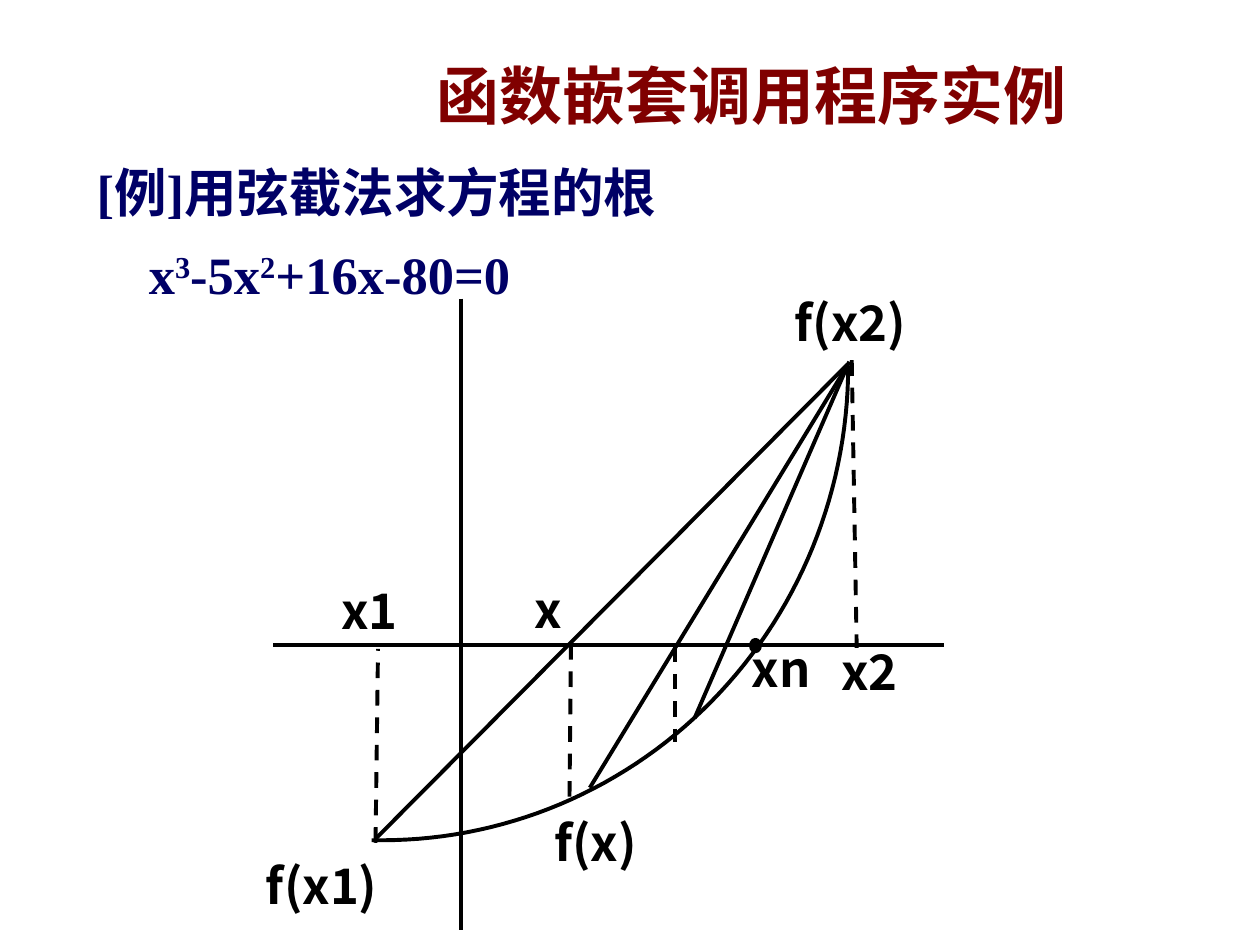
from math import cos, pi, sin

from lxml import etree
from pptx import Presentation
from pptx.dml.color import RGBColor
from pptx.enum.dml import MSO_LINE
from pptx.enum.shapes import MSO_CONNECTOR, MSO_SHAPE
from pptx.enum.text import MSO_ANCHOR, PP_ALIGN
from pptx.oxml.ns import qn
from pptx.util import Cm, Pt

STRAIGHT = MSO_CONNECTOR.STRAIGHT
OVAL = MSO_SHAPE.OVAL
DASH = MSO_LINE.DASH
MIDDLE = MSO_ANCHOR.MIDDLE
CENTER = PP_ALIGN.CENTER
JUSTIFY = PP_ALIGN.JUSTIFY

BLACK = RGBColor(0, 0, 0)
MAROON = RGBColor(0x80, 0, 0)
NAVY = RGBColor(0, 0, 0x66)
SERIF = "Times New Roman"
SANS = "Noto Sans CJK SC"

AXES = [(5.51, 13, 19.02, 13), (9.3, 6.02, 9.3, 18.75)]
CHORDS = [
    (7.59, 16.89, 17.09, 7.34),
    (17.02, 7.47, 11.89, 15.88),
    (17.12, 7.29, 14, 14.48),
]
DROPS = [
    (17.17, 7.26, 17.27, 13.06),
    (7.57, 16.99, 7.62, 13.08),
    (11.51, 12.98, 11.48, 16.08),
    (13.61, 13.03, 13.61, 14.96),
]
LABELS = [
    ("x2", 16.71, 12.8, 2.57, 1.4),
    ("f(x2)", 15.77, 5.77, 3.1, 1.73),
    ("x1", 6.63, 11.58, 2.57, 1.7),
    ("x", 10.52, 11.56, 1.32, 2.01),
    ("f(x)", 10.92, 16.26, 3.58, 1.9),
    ("f(x1)", 5.11, 17.12, 4.65, 2.01),
    ("xn", 14.91, 12.75, 2.95, 1.83),
]
TERMS = [("x", False), ("3", True), ("-5x", False), ("2", True), ("+16x-80=0", False)]


def style(para, size, face, color, align):
    para.alignment = align
    font = para.font
    font.size = Pt(size)
    font.name = face
    font.bold = True
    font.color.rgb = color


def stroke(line):
    line.color.rgb = BLACK
    line.width = Pt(2.25)


def add_title(slide, text):
    title = slide.shapes.title
    title.left, title.top = Cm(4.88), Cm(0.71)
    title.width, title.height = Cm(20.52), Cm(2.39)
    frame = title.text_frame
    frame.vertical_anchor = MIDDLE
    frame.text = text
    style(frame.paragraphs[0], 36, SERIF, MAROON, CENTER)


def add_box(slide, text, *place):
    box = slide.shapes.add_textbox(*map(Cm, place))
    frame = box.text_frame
    frame.word_wrap = True
    frame.text = text
    return frame


def add_body(slide):
    frame = add_box(slide, "[例]用弦截法求方程的根", 1.7, 2.97, 22.4, 14)
    para = frame.add_paragraph()
    para.space_before = Pt(7.5)
    para._p.get_or_add_pPr().set("marL", str(Cm(1.05)))
    for text, raised in TERMS:
        run = para.add_run()
        run.text = text
        if raised:
            run._r.get_or_add_rPr().set("baseline", "30000")
    for para in frame.paragraphs:
        para.line_spacing = 1.1
        style(para, 30, SERIF, NAVY, JUSTIFY)


def add_label(slide, text, *place):
    frame = add_box(slide, text, *place)
    style(frame.paragraphs[0], 28, SANS, BLACK, JUSTIFY)


def add_line(slide, ends, dash=None):
    line = slide.shapes.add_connector(STRAIGHT, *map(Cm, ends))
    stroke(line.line)
    if dash:
        line.line.dash_style = dash
    etree.SubElement(line._element.spPr, qn("a:effectLst"))


def add_curve(slide):
    steps = 60
    angles = [pi / 2 * i / steps for i in range(steps + 1)]
    points = [(Cm(7.7 + 9.4 * sin(a)), Cm(7.37 + 9.57 * cos(a))) for a in angles]
    pen = slide.shapes.build_freeform(Cm(7.49), Cm(16.94))
    pen.add_line_segments(points, close=False)
    curve = pen.convert_to_shape()
    curve.shadow.inherit = False
    curve.fill.background()
    stroke(curve.line)


def add_root(slide):
    dot = slide.shapes.add_shape(OVAL, Cm(15.14), Cm(12.9), Cm(0.18), Cm(0.23))
    dot.shadow.inherit = False
    dot.fill.solid()
    dot.fill.fore_color.rgb = BLACK
    stroke(dot.line)


def main():
    deck = Presentation()
    deck.slide_width, deck.slide_height = Cm(25.4), Cm(19.05)
    slide = deck.slides.add_slide(deck.slide_layouts[5])
    add_title(slide, "函数嵌套调用程序实例")
    add_body(slide)
    for ends in AXES + CHORDS:
        add_line(slide, ends)
    for ends in DROPS:
        add_line(slide, ends, DASH)
    add_curve(slide)
    add_root(slide)
    for label in LABELS:
        add_label(slide, *label)
    deck.save("out.pptx")


if __name__ == "__main__":
    main()
